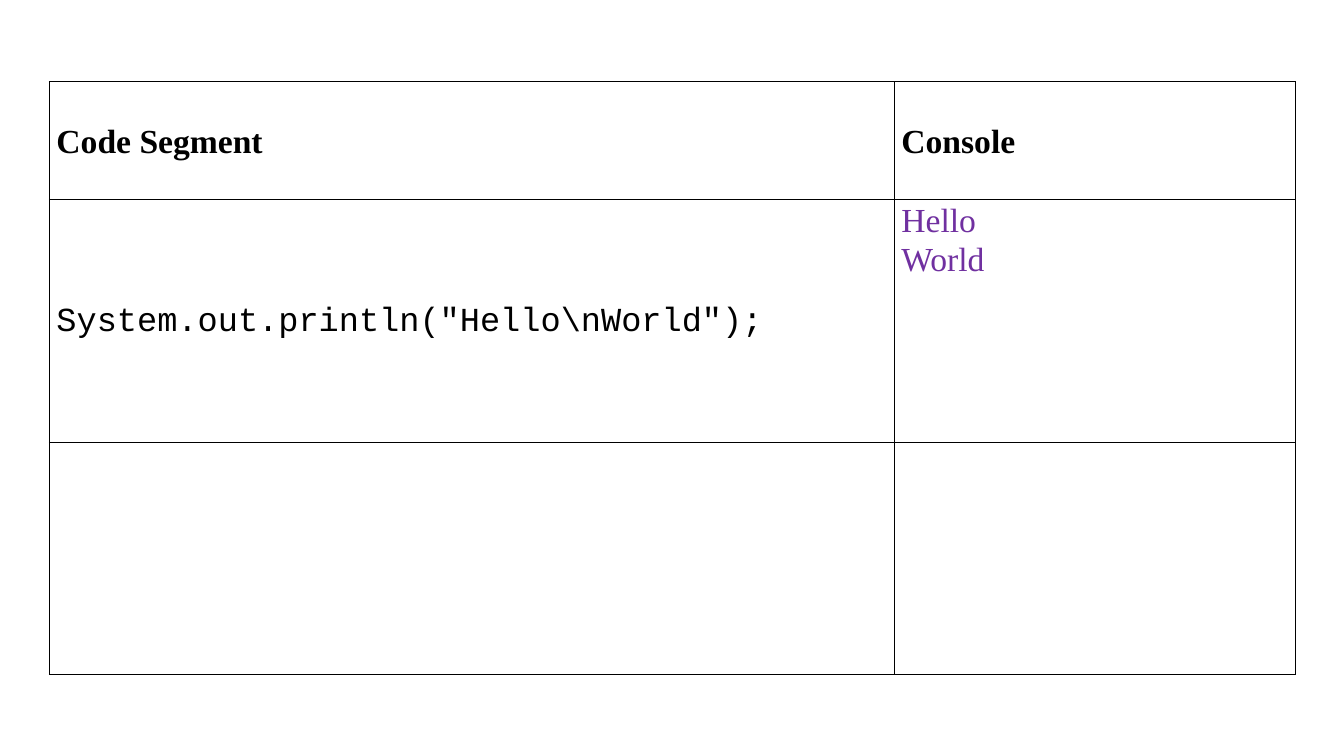
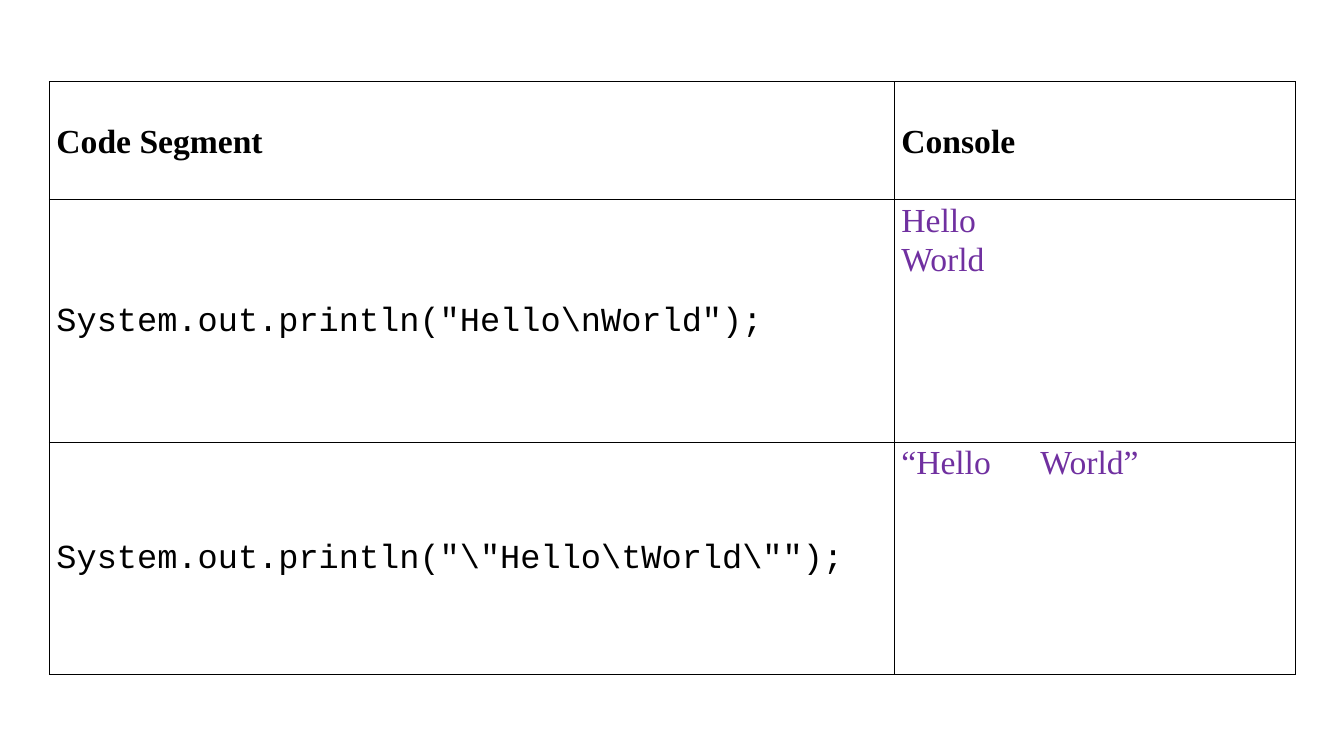
from lxml.etree import SubElement
from pptx import Presentation
from pptx.dml.color import RGBColor
from pptx.enum.text import MSO_ANCHOR
from pptx.oxml.ns import qn
from pptx.util import Inches, Pt

BLACK = RGBColor(0, 0, 0)
WHITE = RGBColor(255, 255, 255)
PURPLE = RGBColor(0x70, 0x30, 0xA0)
SERIF, MONO = "Times New Roman", "Courier New"

# Text styles: font, colour, bold, anchor
HEAD = (SERIF, BLACK, True, MSO_ANCHOR.MIDDLE)
CODE = (MONO, BLACK, False, MSO_ANCHOR.MIDDLE)
SHOW = (SERIF, PURPLE, False, MSO_ANCHOR.TOP)

# Table box and its grid, in inches
BOX = (0.49, 0.81, 12.36, 5.88)
COLS = (8.38, 3.98)
ROWS = (1.17, 2.41, 2.3)
TAB = 1.38

# Code and the lines it prints
FIRST = (r'System.out.println("Hello\nWorld");', ["Hello", "World"])
SECOND = (r'System.out.println("\"Hello\tWorld\"");', ["“Hello\tWorld”"])


def add_edges(cell):
    """Draw a thin black line on all four sides."""
    props = cell._tc.get_or_add_tcPr()
    for side in ("lnL", "lnR", "lnT", "lnB"):
        line = SubElement(props, qn(f"a:{side}"), w=str(Pt(1)))
        fill = SubElement(line, qn("a:solidFill"))
        SubElement(fill, qn("a:srgbClr"), val=str(BLACK))


def style_cell(cell):
    add_edges(cell)
    cell.fill.solid()
    cell.fill.fore_color.rgb = WHITE
    cell.margin_left = cell.margin_right = Inches(0.07)
    cell.margin_top = cell.margin_bottom = 0


def add_tab(para):
    tabs = SubElement(para._p.get_or_add_pPr(), qn("a:tabLst"))
    SubElement(tabs, qn("a:tab"), pos=str(Inches(TAB)), algn="l")


def write(cell, lines, style):
    """Fill a cell with one paragraph per line."""
    face, color, bold, anchor = style
    cell.vertical_anchor = anchor
    frame = cell.text_frame
    for i, line in enumerate(lines):
        para = frame.add_paragraph() if i else frame.paragraphs[0]
        if "\t" in line:
            add_tab(para)
        para.line_spacing = 1.07
        run = para.add_run()
        run.text = line
        font = run.font
        font.name, font.size, font.bold = face, Pt(24), bold
        font.color.rgb = color


def add_grid(slide, box, pairs):
    """Place the table of code and console output in the box."""
    left, top, width, height = box
    frame = slide.shapes.add_table(len(ROWS), len(COLS), Inches(left),
                                   Inches(top), Inches(width), Inches(height))
    table = frame.table
    table.first_row = table.horz_banding = False
    for col, part in zip(table.columns, COLS):
        col.width = Inches(width * part / sum(COLS))
    for row, part in zip(table.rows, ROWS):
        row.height = Inches(height * part / sum(ROWS))
    for cell in table.iter_cells():
        style_cell(cell)

    # Header row
    for i, title in enumerate(("Code Segment", "Console")):
        write(table.cell(0, i), [title], HEAD)

    # Examples
    for i, (code, lines) in enumerate(pairs, 1):
        write(table.cell(i, 0), [code], CODE)
        write(table.cell(i, 1), lines, SHOW)


def main():
    deck = Presentation()
    deck.slide_width, deck.slide_height = Inches(13.33), Inches(7.5)
    for pairs in ([FIRST], [FIRST, SECOND]):
        slide = deck.slides.add_slide(deck.slide_layouts[6])
        add_grid(slide, BOX, pairs)
    deck.save("out.pptx")


if __name__ == "__main__":
    main()
